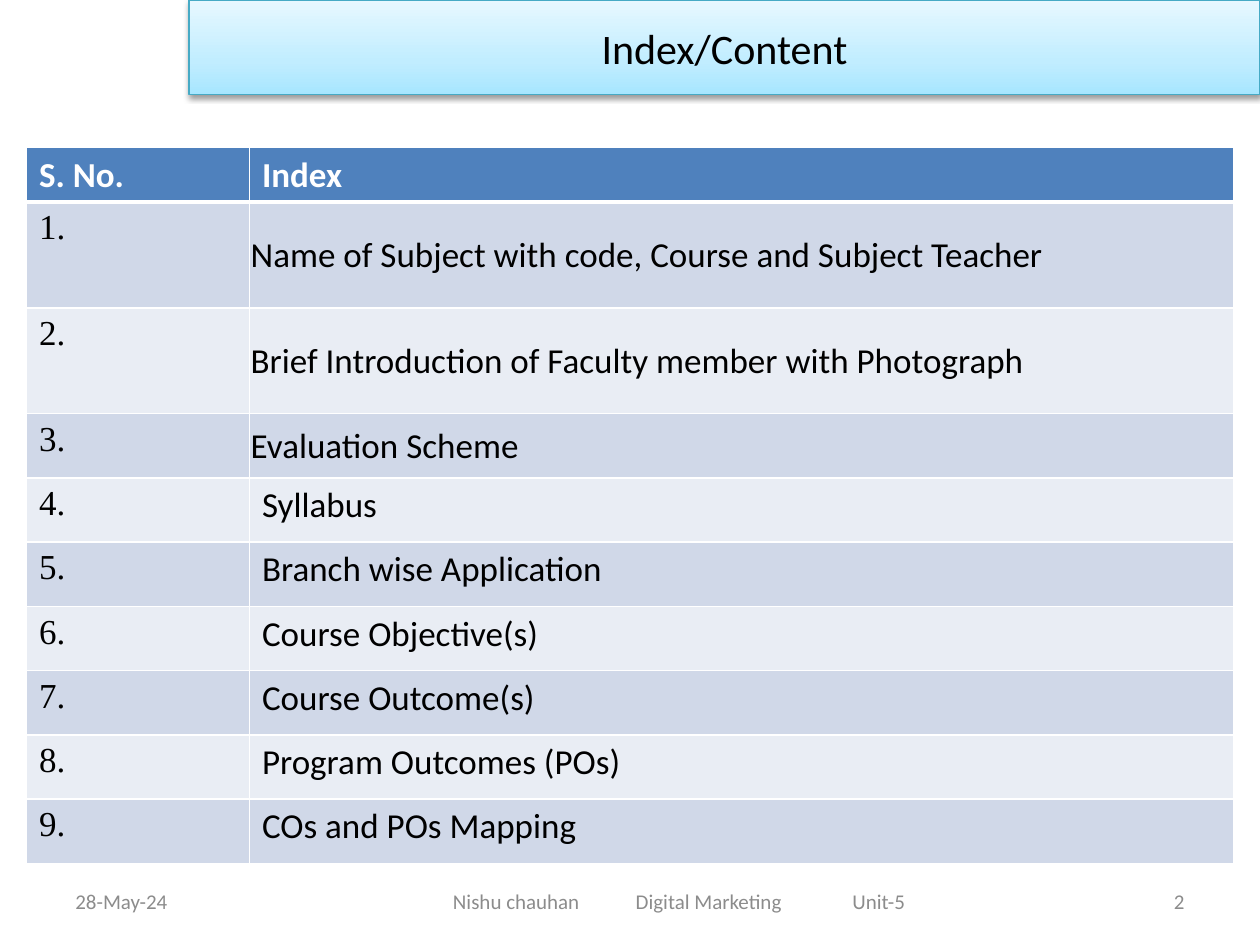
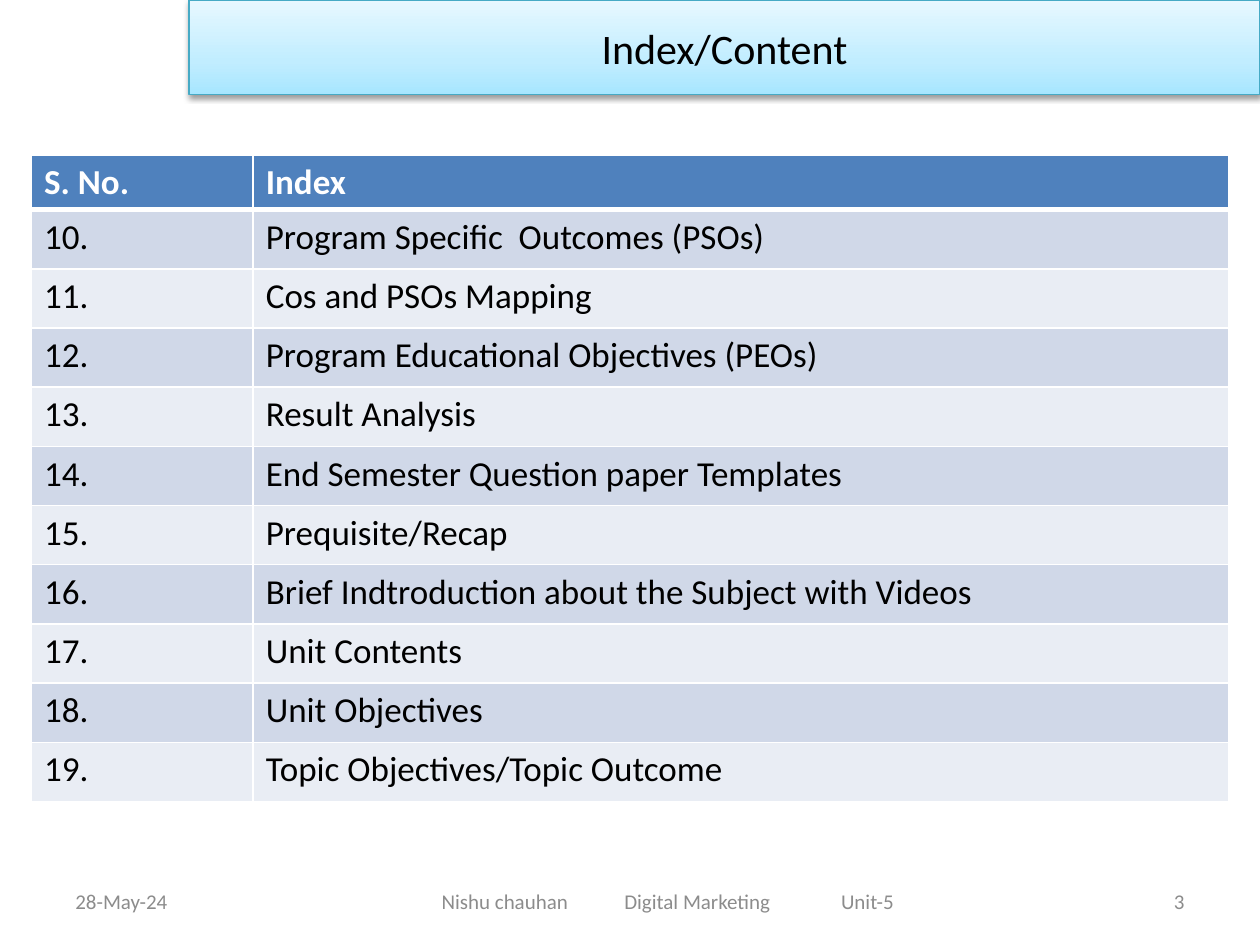
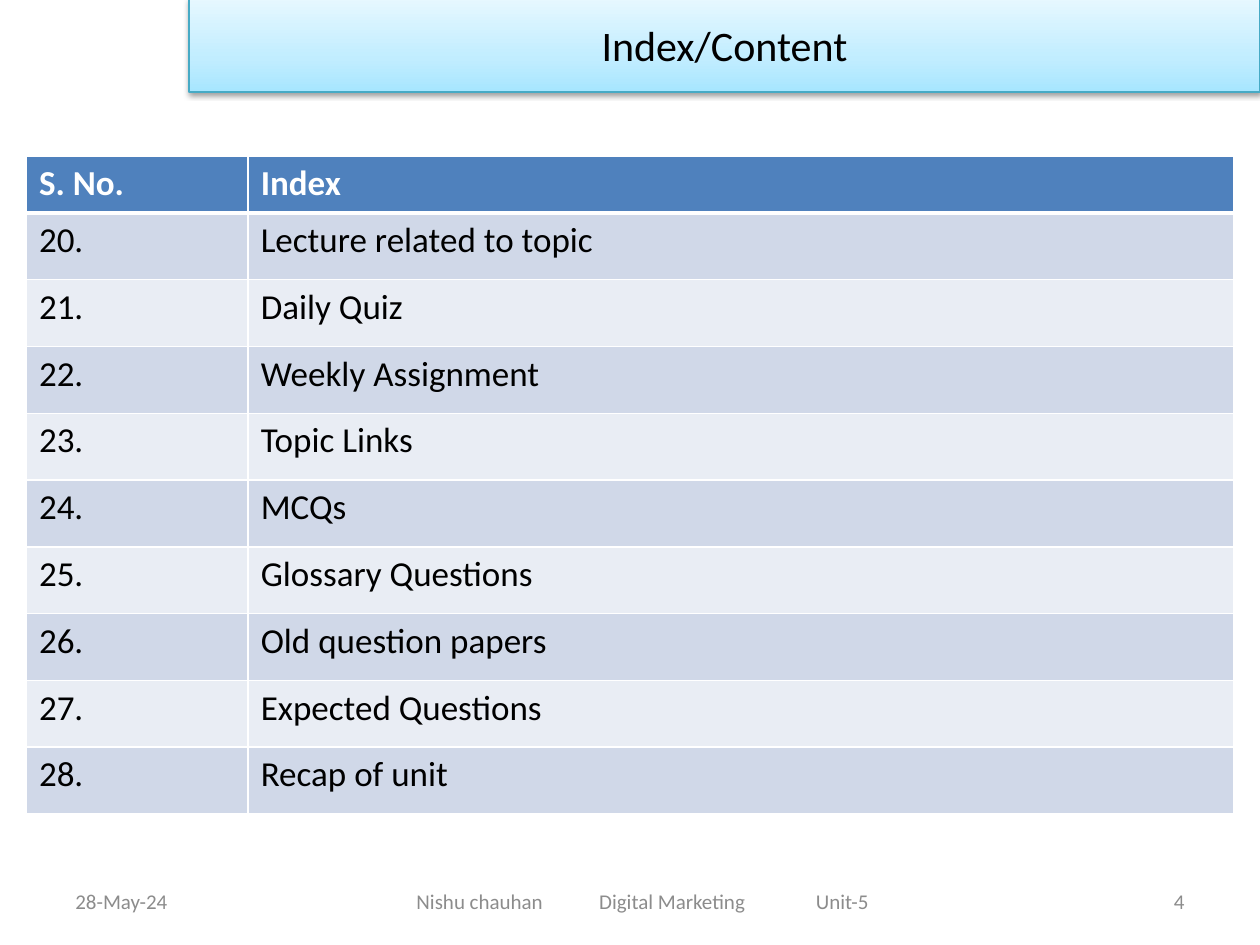
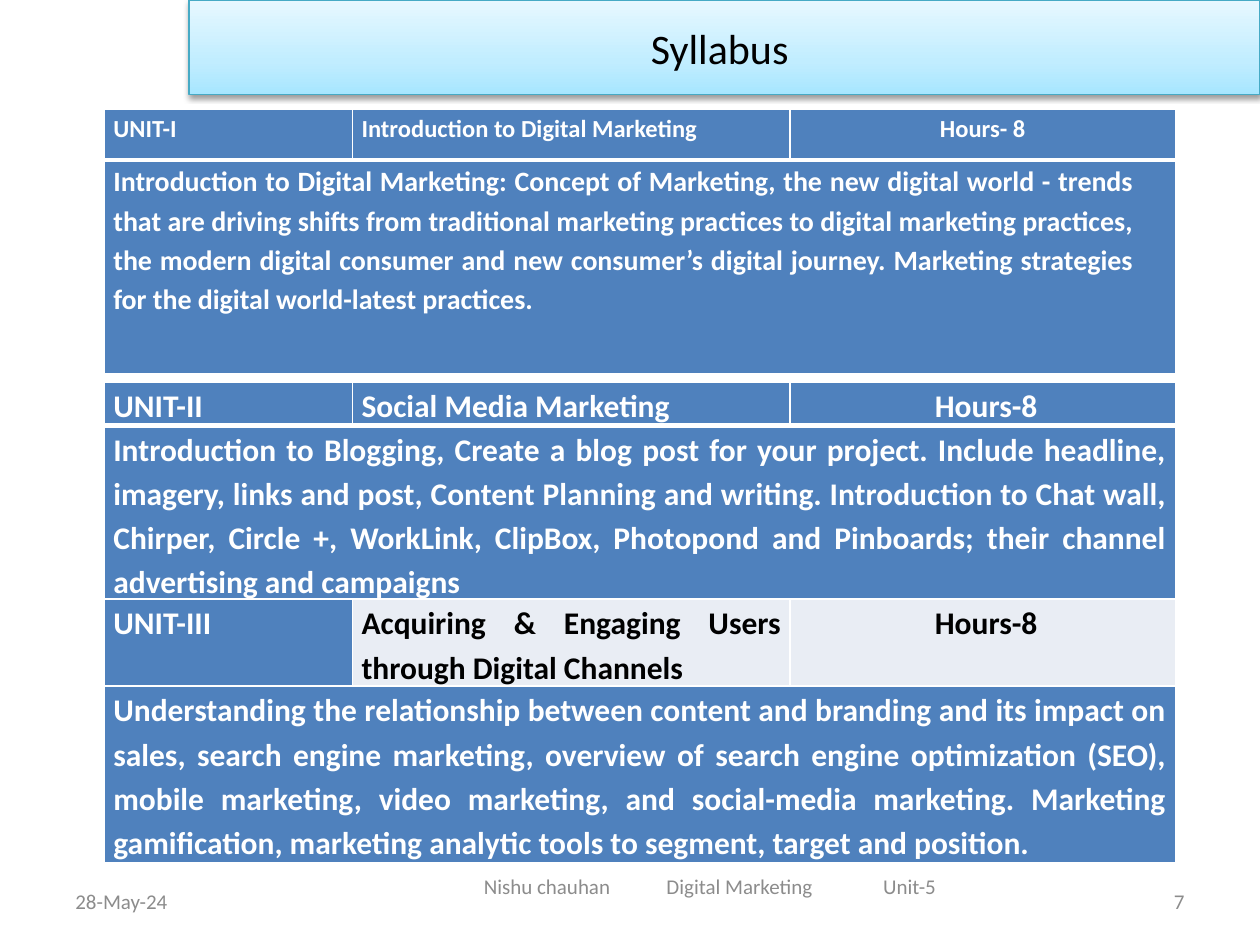
"""Build four index and syllabus slides for a course deck."""
from lxml.etree import SubElement
from pptx import Presentation
from pptx.dml.color import RGBColor
from pptx.enum.text import MSO_ANCHOR, MSO_AUTO_SIZE, PP_ALIGN
from pptx.oxml.ns import qn
from pptx.util import Inches, Pt

WIDTH, HEIGHT = 10, 7.5
FONT, NUMBER_FONT = "Calibri", "Times New Roman"
BLUE, BAND, PALE = "4F81BD", "D0D8E8", "E9EDF4"
WHITE, BLACK, GREY, TEAL = "FFFFFF", "000000", "8C8C8C", "46AAC5"
TITLE_STOPS = [(0, "A7E6FF"), (35, "C1EDFF"), (100, "E7F8FF")]

DATE = "28-May-24"
FOOTER = ["Nishu chauhan", "Digital Marketing", "Unit-5"]
FOOTER_TABS, FOOTER_LENGTH = [1.45, 3.17], 3.65
FOOTER_TOP, FOOTER_HEIGHT = 6.95, 0.4
INDEX_HEADER = ["S. No.", "Index"]

INDEX_SLIDES = [
    dict(page=2, first=1, band_top=0, footer=(1.92, FOOTER_TOP, 7),
         top=1.17, columns=[1.77, 7.81], header=0.43, row=0.51,
         number_font=NUMBER_FONT, tall=0.84, tall_rows=2, tight_rows=3,
         topics=["Name of Subject with code, Course and Subject Teacher",
                 "Brief Introduction of Faculty member with Photograph",
                 "Evaluation Scheme", "Syllabus", "Branch wise Application",
                 "Course Objective(s)", "Course Outcome(s)",
                 "Program Outcomes (POs)", "COs and POs Mapping"]),
    dict(page=3, first=10, band_top=0, footer=(1.83, FOOTER_TOP, 7),
         top=1.23, columns=[1.76, 7.74], header=0.4, row=0.47,
         topics=["Program Specific  Outcomes (PSOs)", "Cos and PSOs Mapping",
                 "Program Educational Objectives (PEOs)", "Result Analysis",
                 "End Semester Question paper Templates", "Prequisite/Recap",
                 "Brief Indtroduction about the Subject with Videos",
                 "Unit Contents", "Unit Objectives",
                 "Topic Objectives/Topic Outcome"]),
    dict(page=4, first=20, band_top=-0.02, footer=(1.67, FOOTER_TOP, 6.92),
         top=1.24, columns=[1.76, 7.82], header=0.45, row=0.53,
         topics=["Lecture related to topic", "Daily Quiz",
                 "Weekly Assignment", "Topic Links", "MCQs",
                 "Glossary Questions", "Old question papers",
                 "Expected Questions", "Recap of unit"]),
]

SYLLABUS_LEFT, SYLLABUS_COLUMNS = 0.83, [1.97, 3.47, 3.06]
SYLLABUS_TABLES = [
    dict(top=0.87, rows=[0.4, 1.7], unit_size=14, body_size=16,
         right_margin=0.33, space_after=0, units=[
             (["UNIT-I", "Introduction to Digital Marketing", "Hours- 8"],
              "Introduction to Digital Marketing: Concept of Marketing, the "
              "new digital world - trends that are driving shifts from "
              "traditional marketing practices to digital marketing "
              "practices, the modern digital consumer and new consumer’s "
              "digital journey. Marketing strategies for the digital "
              "world-latest practices.")]),
    dict(top=3.03, rows=[0.33, 1.04, 0.69, 1.4], unit_size=18, body_size=18,
         right_margin=0.07, space_after=10, units=[
             (["UNIT-II", "Social Media Marketing", " Hours-8"],
              "Introduction to Blogging, Create a blog post for your project. "
              "Include headline, imagery, links and post, Content Planning "
              "and writing. Introduction to Chat wall, Chirper, Circle +, "
              "WorkLink, ClipBox, Photopond and Pinboards; their channel "
              "advertising and campaigns "),
             (["UNIT-III",
               "Acquiring & Engaging Users through Digital Channels",
               " Hours-8"],
              "Understanding the relationship between content and branding "
              "and its impact on sales, search engine marketing, overview of "
              "search engine optimization (SEO), mobile marketing, video "
              "marketing, and social-media marketing. Marketing "
              "gamification, marketing analytic tools to segment, target and "
              "position. ")]),
]


def rgb(code):
    return RGBColor.from_string(code)


def write(frame, text, size, color, align=PP_ALIGN.LEFT, font=FONT, bold=False):
    paragraph = frame.paragraphs[0]
    paragraph.alignment = align
    run = paragraph.add_run()
    run.text = text
    run.font.name, run.font.size, run.font.bold = font, Pt(size), bold
    run.font.color.rgb = rgb(color)
    return paragraph


def add_color(parent, code):
    return SubElement(parent, qn("a:srgbClr"), val=code)


def add_title(slide, text, top):
    title = slide.shapes.title
    title.left, title.top = Inches(0.15 * WIDTH), Inches(top)
    title.width, title.height = Inches(0.85 * WIDTH), Inches(0.1 * HEIGHT)
    title.fill.gradient()
    title.fill.gradient_angle = 90
    properties = title._element.spPr
    stops = properties.find(".//" + qn("a:gsLst"))
    stops.clear()
    for share, code in TITLE_STOPS:
        add_color(SubElement(stops, qn("a:gs"), pos=str(share * 1000)), code)
    title.line.color.rgb, title.line.width = rgb(TEAL), Pt(0.75)
    effects = SubElement(properties, qn("a:effectLst"))
    shadow = SubElement(effects, qn("a:outerShdw"), blurRad="40000",
                        dist="20000", dir="5400000", rotWithShape="0")
    SubElement(add_color(shadow, BLACK), qn("a:alpha"), val="38000")
    frame = title.text_frame
    frame.auto_size = MSO_AUTO_SIZE.NONE
    frame.vertical_anchor = MSO_ANCHOR.MIDDLE
    write(frame, text, 24, BLACK, PP_ALIGN.CENTER)


def add_footer_part(slide, text, left, top, width, align=PP_ALIGN.LEFT,
                    inset=0.1, tabs=()):
    box = slide.shapes.add_textbox(Inches(left), Inches(top), Inches(width),
                                   Inches(FOOTER_HEIGHT))
    frame = box.text_frame
    frame.word_wrap = True
    frame.vertical_anchor = MSO_ANCHOR.MIDDLE
    frame.margin_left = Inches(inset)
    if tabs:
        stops = SubElement(frame.paragraphs[0]._p.get_or_add_pPr(),
                           qn("a:tabLst"))
        for place in tabs:
            SubElement(stops, qn("a:tab"), pos=str(Inches(place)), algn="l")
    write(frame, text, 12, GREY, align)


def add_page(deck, title, page, footer, band_top=0):
    slide = deck.slides.add_slide(deck.slide_layouts[5])
    add_title(slide, title, band_top)
    add_footer_part(slide, DATE, 0.5, FOOTER_TOP, 2.33)
    add_footer_part(slide, "\t".join(FOOTER), *footer,
                    inset=(footer[2] - FOOTER_LENGTH) / 2, tabs=FOOTER_TABS)
    add_footer_part(slide, str(page), 7.17, FOOTER_TOP, 2.33, PP_ALIGN.RIGHT)
    return slide


def add_grid(slide, left, top, columns, rows):
    table = slide.shapes.add_table(
        len(rows), len(columns), Inches(left), Inches(top),
        Inches(sum(columns)), Inches(sum(rows))).table
    for column, width in zip(table.columns, columns):
        column.width = Inches(width)
    for row, height in zip(table.rows, rows):
        row.height = Inches(height)
    for number, row in enumerate(table.rows):
        for cell in row.cells:
            for side in "LRTB":
                heavy = (number, side) in [(0, "B"), (1, "T")]
                edge = SubElement(cell._tc.get_or_add_tcPr(),
                                  qn("a:ln" + side),
                                  w=str(Pt(3 if heavy else 1)))
                add_color(SubElement(edge, qn("a:solidFill")), WHITE)
    return table


def paint(cell, code):
    cell.fill.solid()
    cell.fill.fore_color.rgb = rgb(code)


def set_margins(cell, left, top, right, bottom):
    cell.margin_left, cell.margin_top = Inches(left), Inches(top)
    cell.margin_right, cell.margin_bottom = Inches(right), Inches(bottom)


def add_index(deck, part):
    slide = add_page(deck, "Index/Content", part["page"], part["footer"],
                     part["band_top"])
    topics, tall_rows = part["topics"], part.get("tall_rows", 0)
    rows = ([part["header"]] + [part.get("tall")] * tall_rows
            + [part["row"]] * (len(topics) - tall_rows))
    table = add_grid(slide, (WIDTH - sum(part["columns"])) / 2, part["top"],
                     part["columns"], rows)
    for column, heading in enumerate(INDEX_HEADER):
        cell = table.cell(0, column)
        paint(cell, BLUE)
        write(cell.text_frame, heading, 20, WHITE, bold=True)
    for row, topic in enumerate(topics, 1):
        number_cell, topic_cell = table.cell(row, 0), table.cell(row, 1)
        for cell in (number_cell, topic_cell):
            paint(cell, BAND if row % 2 else PALE)
        write(number_cell.text_frame, f"{part['first'] + row - 1}.", 20, BLACK,
              font=part.get("number_font", FONT))
        write(topic_cell.text_frame, topic, 20, BLACK)
        if row <= part.get("tight_rows", 0):
            topic_cell.vertical_anchor = MSO_ANCHOR.MIDDLE
            set_margins(topic_cell, 0.01, 0.01, 0.01, 0)


def add_syllabus_table(slide, part):
    table = add_grid(slide, SYLLABUS_LEFT, part["top"], SYLLABUS_COLUMNS,
                     part["rows"])
    aligns = [PP_ALIGN.LEFT, PP_ALIGN.JUSTIFY, PP_ALIGN.CENTER]
    for unit, (headings, summary) in enumerate(part["units"]):
        for column, (heading, align) in enumerate(zip(headings, aligns)):
            cell = table.cell(2 * unit, column)
            light = unit > 0 and column > 0
            paint(cell, PALE if light else BLUE)
            set_margins(cell, 0.07, 0, 0.07, 0)
            write(cell.text_frame, heading, part["unit_size"],
                  BLACK if light else WHITE, align,
                  bold=True).line_spacing = 1.15
            paint(table.cell(2 * unit + 1, column), BLUE)
        body = table.cell(2 * unit + 1, 0)
        body.merge(table.cell(2 * unit + 1, len(SYLLABUS_COLUMNS) - 1))
        set_margins(body, 0.07, 0, part["right_margin"], 0)
        paragraph = write(body.text_frame, summary, part["body_size"], WHITE,
                          PP_ALIGN.JUSTIFY, bold=True)
        paragraph.line_spacing = 1.15
        paragraph.space_after = Pt(part["space_after"])


def main():
    deck = Presentation()
    deck.slide_width, deck.slide_height = Inches(WIDTH), Inches(HEIGHT)
    for part in INDEX_SLIDES:
        add_index(deck, part)
    syllabus = add_page(deck, "Syllabus ", 7, (3.08, 6.83, 5.17))
    for part in SYLLABUS_TABLES:
        add_syllabus_table(syllabus, part)
    deck.save("out.pptx")


if __name__ == "__main__":
    main()
